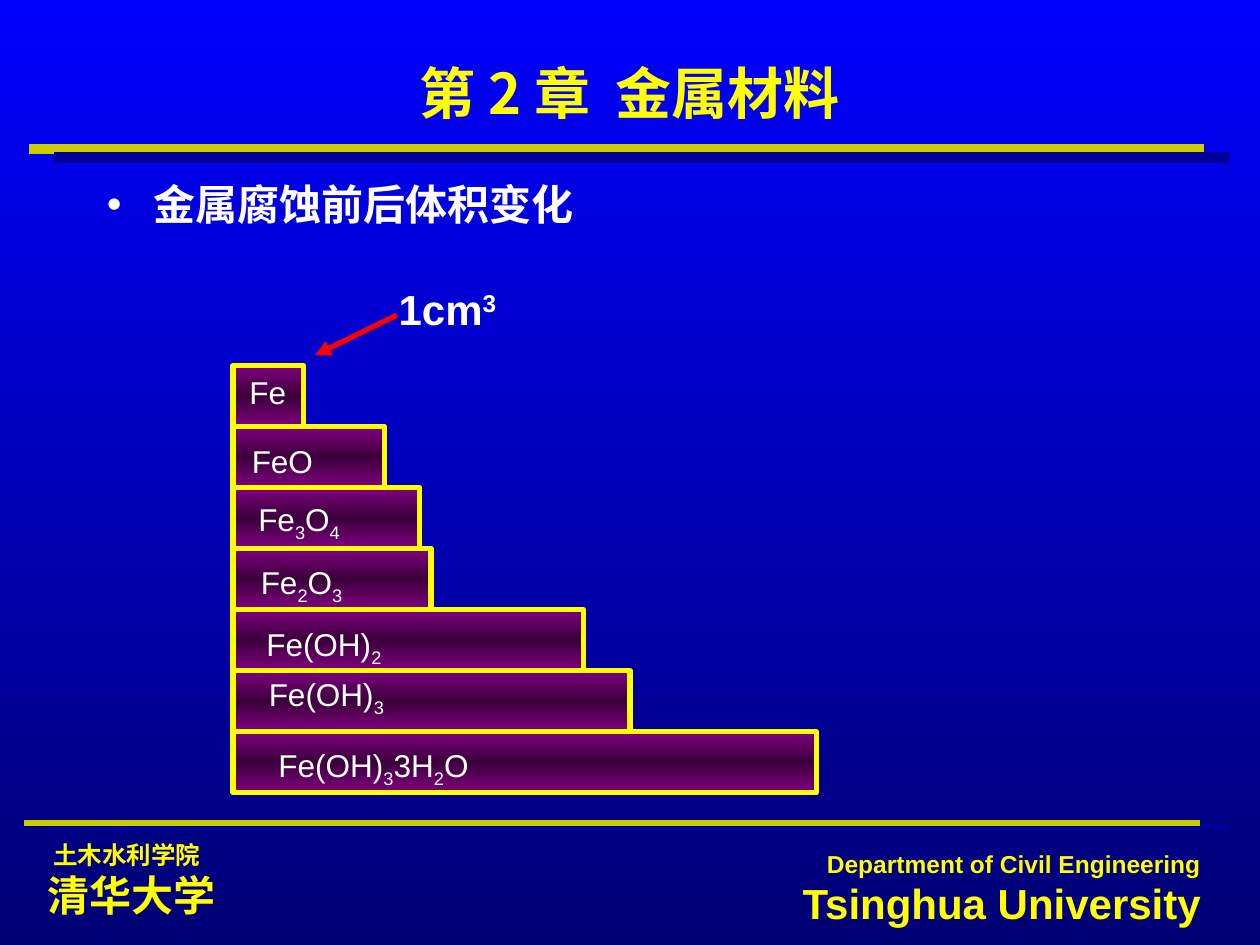
from copy import deepcopy

from pptx import Presentation
from pptx.dml.color import RGBColor
from pptx.enum.shapes import MSO_CONNECTOR as CONNECTOR, MSO_SHAPE as SHAPE
from pptx.enum.text import MSO_ANCHOR as ANCHOR, MSO_AUTO_SIZE as AUTO_SIZE, PP_ALIGN as ALIGN
from pptx.oxml.ns import qn
from pptx.oxml.xmlchemy import OxmlElement
from pptx.util import Cm, Pt

YELLOW = RGBColor(0xFF, 0xFF, 0x00)
WHITE = RGBColor(0xFF, 0xFF, 0xFF)
RED = RGBColor(0xFF, 0x00, 0x00)
GOLD = RGBColor(0xCC, 0xCC, 0x00)
NAVY = RGBColor(0x00, 0x00, 0x99)
SKY = (RGBColor(0x00, 0x00, 0xFF), RGBColor(0x00, 0x00, 0x75))
PURPLE = RGBColor(0x80, 0x00, 0x80)
PLUM = RGBColor(0x3B, 0x00, 0x3B)

LATIN, CHINESE = "Arial", "Noto Sans CJK SC"
SUBSCRIPT, SUPERSCRIPT = "-25000", "30000"

TITLE = {"size": Pt(32), "bold": True, "name": CHINESE}
BULLET = {"size": Pt(24), "bold": True, "name": LATIN}
LABEL = {"size": Pt(18), "bold": False, "name": LATIN}
SMALL = {"size": Pt(14), "bold": True, "name": LATIN}
LARGE = {**SMALL, "size": Pt(24)}

BAR_LEFT, BAR_TOP, BAR_HEIGHT = 4.7, 7.37, 1.23
BARS = [
    (1.42, "Fe", (4.78, 7.39, 1.24, 1.02)),
    (3.05, "FeO", (4.83, 8.79, 1.73, 1.02)),
    (3.76, "Fe|3|O|4", (4.47, 9.96, 3.12, 1.12)),
    (3.99, "Fe|2|O|3", (4.52, 11.23, 3.12, 1.12)),
    (7.06, "Fe(OH)|2", (4.65, 12.47, 3.76, 1.12)),
    (8.0, "Fe(OH)|3", (4.7, 13.49, 3.76, 1.12)),
    (11.76, "Fe(OH)|3|3H|2|O", (3.3, 14.91, 8.46, 1.12)),
]
RULES = [
    ((0.58, 3.0), (24.28, 3.0), GOLD, 6),
    ((1.09, 3.18), (24.79, 3.18), NAVY, 6),
    ((0.97, 16.68), (24.77, 16.67), NAVY, 3),
    ((0.48, 16.59), (24.2, 16.59), GOLD, 3),
]


def set_values(target, values):
    """Set each attribute named in values on the target."""
    for name, value in values.items():
        setattr(target, name, value)


def paint_gradient(fill, element, colors):
    """Fill with evenly spaced colours running from top to bottom."""
    fill.gradient()
    fill.gradient_angle = 270
    stop_list = next(element.iter(qn("a:gsLst")))
    for _ in colors[2:]:
        stop_list.append(deepcopy(stop_list[0]))
    for index, (stop, color) in enumerate(zip(fill.gradient_stops, colors)):
        stop.color.rgb = color
        stop.position = index / (len(colors) - 1)


def write(paragraph, text, values, color, align, shift=SUBSCRIPT):
    """Write text whose every second part, split at bars, is shifted."""
    paragraph.alignment = align
    for index, part in enumerate(text.split("|")):
        run = paragraph.add_run()
        run.text = part
        set_values(run.font, values)
        run.font.color.rgb = color
        properties = run.font._element
        if index % 2:
            properties.set("baseline", shift)
        east_asian = OxmlElement("a:ea")
        east_asian.set("typeface", CHINESE)
        properties.find(qn("a:latin")).addnext(east_asian)


def place(shape, box, anchor, wrap=True):
    """Move a text shape to its box and return its first paragraph."""
    set_values(shape, dict(zip(("left", "top", "width", "height"), map(Cm, box))))
    frame = shape.text_frame
    set_values(frame, {"word_wrap": wrap, "auto_size": AUTO_SIZE.NONE, "vertical_anchor": anchor})
    return frame.paragraphs[0]


def add_text(slide, box, lines, color, align, shift=SUBSCRIPT, wrap=True):
    """Add a text box with one paragraph for each line."""
    shape = slide.shapes.add_textbox(*map(Cm, box))
    paragraph = place(shape, box, ANCHOR.MIDDLE, wrap)
    for index, (text, values) in enumerate(lines):
        if index:
            paragraph = shape.text_frame.add_paragraph()
        write(paragraph, text, values, color, align, shift)


def add_line(slide, start, end, color, width):
    """Add a straight line without shadow and return it."""
    line = slide.shapes.add_connector(CONNECTOR.STRAIGHT, *map(Cm, start + end))
    line.line.color.rgb = color
    line.line.width = Pt(width)
    line._element.spPr.append(OxmlElement("a:effectLst"))
    return line


def add_arrow(slide, start, end, color, width):
    """Add a line with a triangle at its end."""
    arrow = add_line(slide, start, end, color, width)
    head = OxmlElement("a:tailEnd")
    head.set("type", "triangle")
    arrow.line._get_or_add_ln().append(head)


def add_bar(slide, row, width):
    """Add one bar of the volume staircase."""
    top = BAR_TOP + row * BAR_HEIGHT
    bar = slide.shapes.add_shape(SHAPE.RECTANGLE, *map(Cm, (BAR_LEFT, top, width, BAR_HEIGHT)))
    bar.shadow.inherit = False
    paint_gradient(bar.fill, bar._element, (PURPLE, PLUM, PURPLE))
    bar.line.color.rgb = YELLOW
    bar.line.width = Pt(3)


def add_bullet(paragraph):
    """Give the paragraph a white round bullet with a hanging indent."""
    properties = paragraph._p.get_or_add_pPr()
    properties.set("marL", str(Cm(0.95)))
    properties.set("indent", str(-Cm(0.95)))
    bullet_color = OxmlElement("a:buClr")
    rgb = OxmlElement("a:srgbClr")
    rgb.set("val", str(WHITE))
    bullet_color.append(rgb)
    bullet = OxmlElement("a:buChar")
    bullet.set("char", "•")
    properties.extend((bullet_color, bullet))


def main():
    """Build the slide on volume change in corrosion and save it."""
    presentation = Presentation()
    set_values(presentation, {"slide_width": Cm(25.4), "slide_height": Cm(19.05)})
    slide = presentation.slides.add_slide(presentation.slide_layouts[1])
    paint_gradient(slide.background.fill, slide._element, SKY)

    for rule in RULES:
        add_line(slide, *rule)
    add_text(slide, (0.71, 16.76, 10.11, 1.96),
             [(" 土木水利学院", SMALL), ("清华大学", LARGE)], YELLOW, ALIGN.LEFT)
    add_text(slide, (14.35, 16.97, 10.11, 1.88),
             [("Department of Civil Engineering", SMALL), ("Tsinghua University", LARGE)],
             YELLOW, ALIGN.RIGHT)

    title, body = slide.placeholders
    heading = place(title, (1.9, 1.0, 21.59, 1.73), ANCHOR.MIDDLE)
    write(heading, "第 2 章  金属材料", TITLE, YELLOW, ALIGN.CENTER)
    topic = place(body, (1.9, 3.48, 21.59, 13.0), ANCHOR.TOP)
    topic.space_before = Pt(0)
    add_bullet(topic)
    write(topic, "金属腐蚀前后体积变化", BULLET, WHITE, ALIGN.LEFT)

    for row, (width, _, _) in enumerate(BARS):
        add_bar(slide, row, width)
    for _, formula, box in BARS:
        add_text(slide, box, [(formula, LABEL)], WHITE, ALIGN.CENTER, wrap="|" in formula)

    add_arrow(slide, (8.0, 6.35), (6.35, 7.16), RED, 3)
    add_text(slide, (7.52, 5.59, 3.0, 1.27), [("1cm|3", BULLET)], WHITE, ALIGN.CENTER, SUPERSCRIPT)
    presentation.save("out.pptx")


if __name__ == "__main__":
    main()
